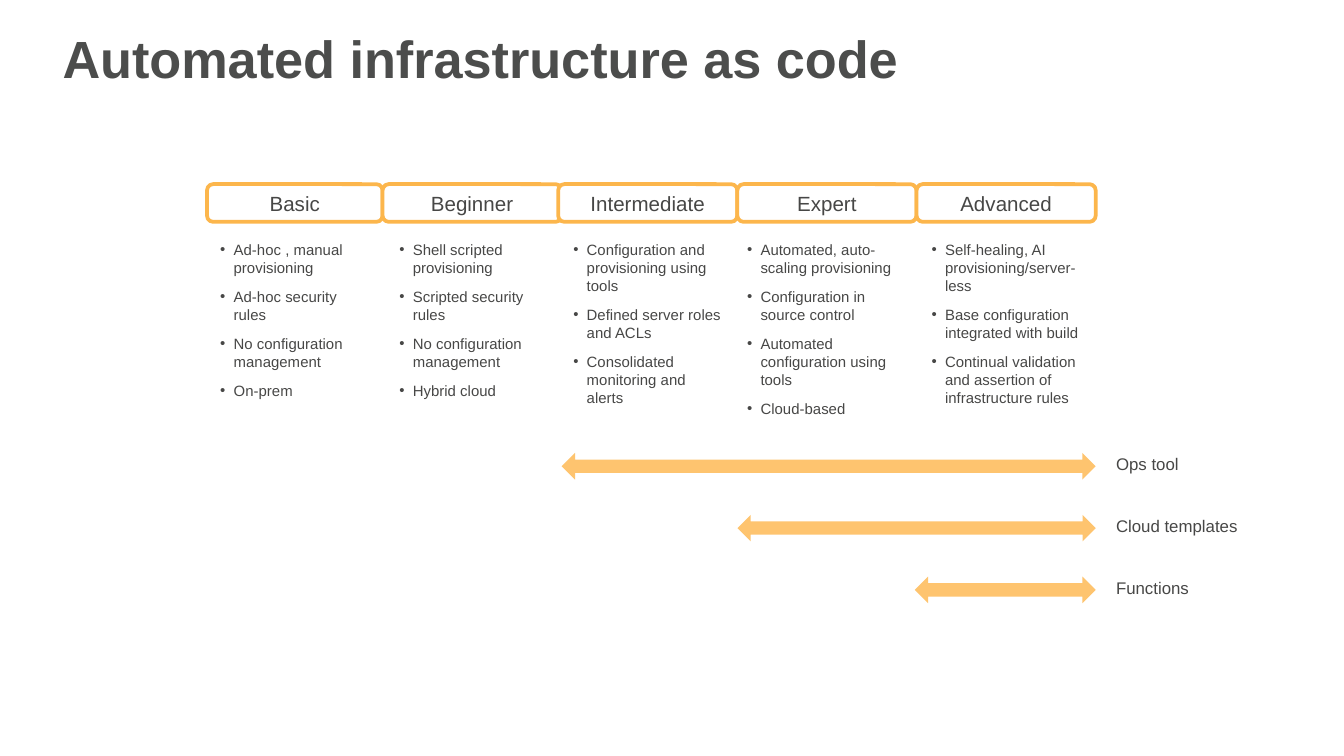
from dataclasses import dataclass

from lxml import etree
from pptx import Presentation, util as u
from pptx.dml.color import RGBColor
from pptx.enum import shapes, text
from pptx.oxml import ns


@dataclass(frozen=True)
class Theme:
    """Colours, font and type sizes of the deck."""
    font: str = "Arial"
    title_ink: str = "4C4D4C"
    ink: str = "474746"
    paper: str = "FFFFFF"
    outline: str = "FCB64C"
    arrow: str = "FEC46F"
    title_size: int = 28
    heading_size: int = 11
    label_size: int = 9
    note_size: int = 8
    outline_width: int = 2
    note_gap: int = 6
    note_indent: float = 0.1


@dataclass(frozen=True)
class Grid:
    """Origin and pitch of the maturity columns and rows, in inches."""
    left: float = 1.54
    top: float = 1.37
    column: float = 1.32
    row: float = 0.46

    def place(self, column, row, columns, rows):
        """Turn grid units into left, top, width and height."""
        return (u.Inches(self.left + column * self.column),
                u.Inches(self.top + row * self.row),
                u.Inches(columns * self.column),
                u.Inches(rows * self.row))


class MaturityPage:
    """Draws the elements of one maturity slide in a shared style."""

    def __init__(self, deck, theme, grid):
        """Add a title-only page to the deck."""
        self.theme, self.grid = theme, grid
        self.page = deck.slides.add_slide(deck.slide_layouts[5])

    def style(self, para, size, color, bold=False):
        """Format the runs of a paragraph."""
        for span in para.runs:
            span.font.name = self.theme.font
            span.font.size = u.Pt(size)
            span.font.bold = bold
            span.font.color.rgb = RGBColor.from_string(color)

    def title(self, words, *place):
        """Fill, place and format the title."""
        box = self.page.shapes.title
        box.left, box.top, box.width, box.height = self.grid.place(*place)
        frame = box.text_frame
        frame.text = words
        frame.auto_size = text.MSO_AUTO_SIZE.NONE
        frame.vertical_anchor = text.MSO_ANCHOR.MIDDLE
        para = frame.paragraphs[0]
        para.alignment = text.PP_ALIGN.LEFT
        self.style(para, self.theme.title_size, self.theme.title_ink, bold=True)

    def shape(self, kind, fill, place):
        """Add a flat preset shape."""
        box = self.page.shapes.add_shape(kind, *self.grid.place(*place))
        box.shadow.inherit = False
        box.fill.solid()
        box.fill.fore_color.rgb = RGBColor.from_string(fill)
        return box

    def heading(self, words, *place):
        """Add an outlined stage name."""
        box = self.shape(shapes.MSO_SHAPE.ROUNDED_RECTANGLE, self.theme.paper, place)
        box.line.color.rgb = RGBColor.from_string(self.theme.outline)
        box.line.width = u.Pt(self.theme.outline_width)
        frame = box.text_frame
        frame.text = words
        frame.vertical_anchor = text.MSO_ANCHOR.MIDDLE
        para = frame.paragraphs[0]
        para.alignment = text.PP_ALIGN.CENTER
        self.style(para, self.theme.heading_size, self.theme.ink)

    def arrow(self, *place):
        """Add a double-headed span arrow."""
        box = self.shape(shapes.MSO_SHAPE.LEFT_RIGHT_ARROW, self.theme.arrow, place)
        box.line.fill.background()

    def text_box(self, words, size, place):
        """Add a wrapped text box and return its paragraphs."""
        box = self.page.shapes.add_textbox(*self.grid.place(*place))
        frame = box.text_frame
        frame.word_wrap = True
        frame.text = words
        for para in frame.paragraphs:
            self.style(para, size, self.theme.ink)
        return frame.paragraphs

    def label(self, words, *place):
        """Add the name of a span."""
        self.text_box(words, self.theme.label_size, place)

    def notes(self, items, *place):
        """Add a bulleted list of practices."""
        indent = u.Inches(self.theme.note_indent)
        paras = self.text_box("\n".join(items), self.theme.note_size, place)
        for index, para in enumerate(paras):
            props = para._p.get_or_add_pPr()
            props.set("marL", str(indent))
            props.set("indent", str(-indent))
            etree.SubElement(props, ns.qn("a:buFont")).set("typeface", self.theme.font)
            etree.SubElement(props, ns.qn("a:buChar")).set("char", "•")
            if index:
                para.space_before = u.Pt(self.theme.note_gap)


STAGES = [
    ("Basic", 0, 0, ["Ad-hoc , manual provisioning", "Ad-hoc security rules",
                     "No configuration management", "On-prem"]),
    ("Beginner", 0.99, 1.01, ["Shell scripted provisioning", "Scripted security rules",
                              "No configuration management", "Hybrid cloud"]),
    ("Intermediate", 1.98, 1.99, ["Configuration and provisioning using tools",
                                  "Defined server roles and ACLs",
                                  "Consolidated monitoring and alerts"]),
    ("Expert", 2.99, 2.97, ["Automated, auto-scaling provisioning",
                            "Configuration in source control",
                            "Automated configuration using tools", "Cloud-based"]),
    ("Advanced", 4, 4.01, ["Self-healing, AI provisioning/server-less",
                           "Base configuration integrated with build",
                           "Continual validation and assertion of infrastructure rules"]),
]
TOOLS = [("Ops tool", 2), ("Cloud templates", 2.99), ("Functions", 3.99)]
RIGHT_EDGE = 5.01


def main():
    """Build and save the deck."""
    deck = Presentation()
    deck.slide_width = u.Inches(10)
    deck.slide_height = deck.slide_width * 9 // 16
    page = MaturityPage(deck, Theme(), Grid())
    page.title("Automated infrastructure as code", -0.89, -2.7, 6.8, 1.3)
    for name, column, _, _ in STAGES:
        page.heading(name, column, 0, 1.01 if column else 0.99, 0.61)
    for _, _, column, items in STAGES:
        page.notes(items, column, 0.81, 0.99, 2.85)
    for index, (tool, start) in enumerate(TOOLS):
        page.arrow(start, 4.35 + index, RIGHT_EDGE - start, 0.43)
        page.label(tool, RIGHT_EDGE + 0.04, 4.26 + index, 0.98, 0.52)
    deck.save("out.pptx")


if __name__ == "__main__":
    main()
